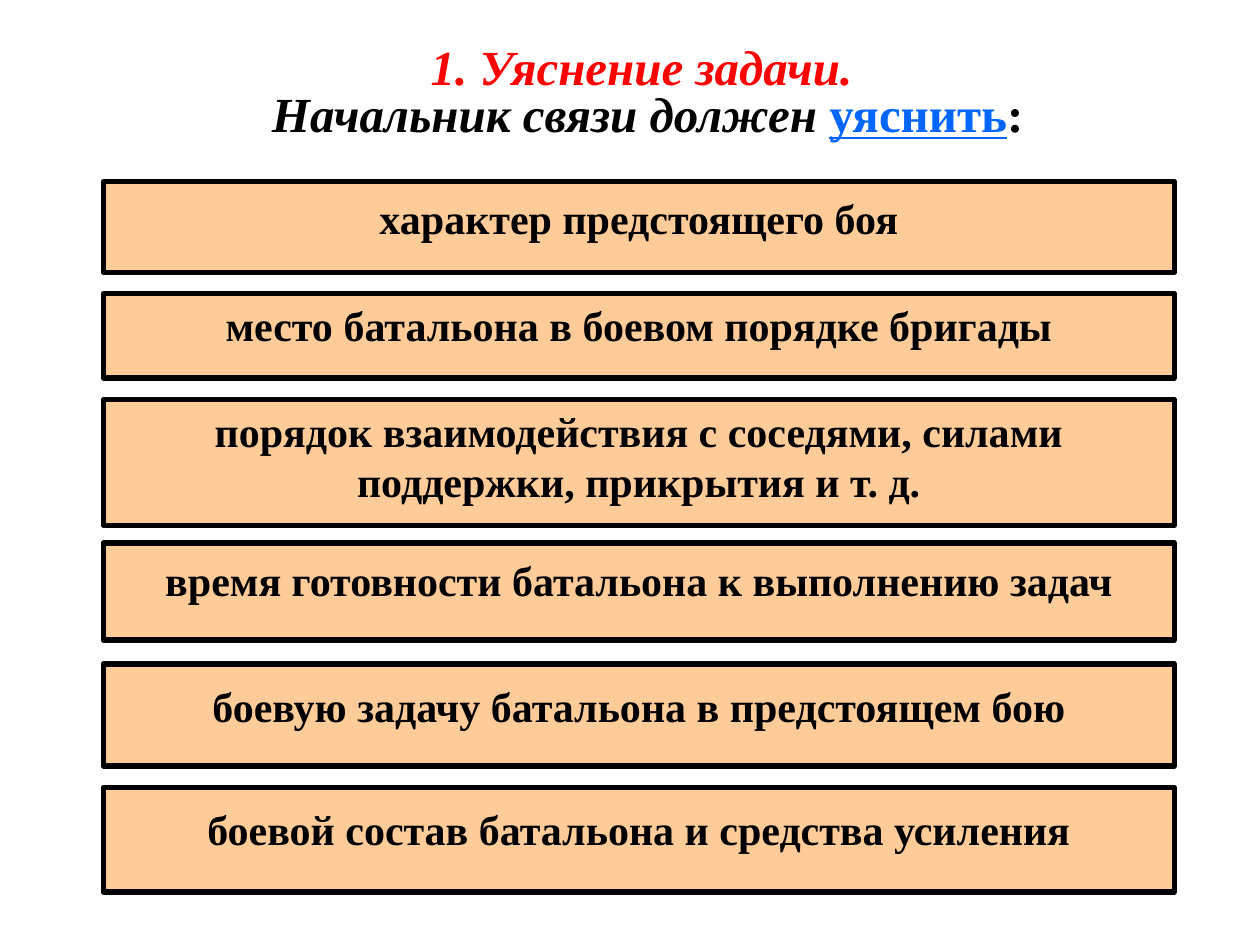
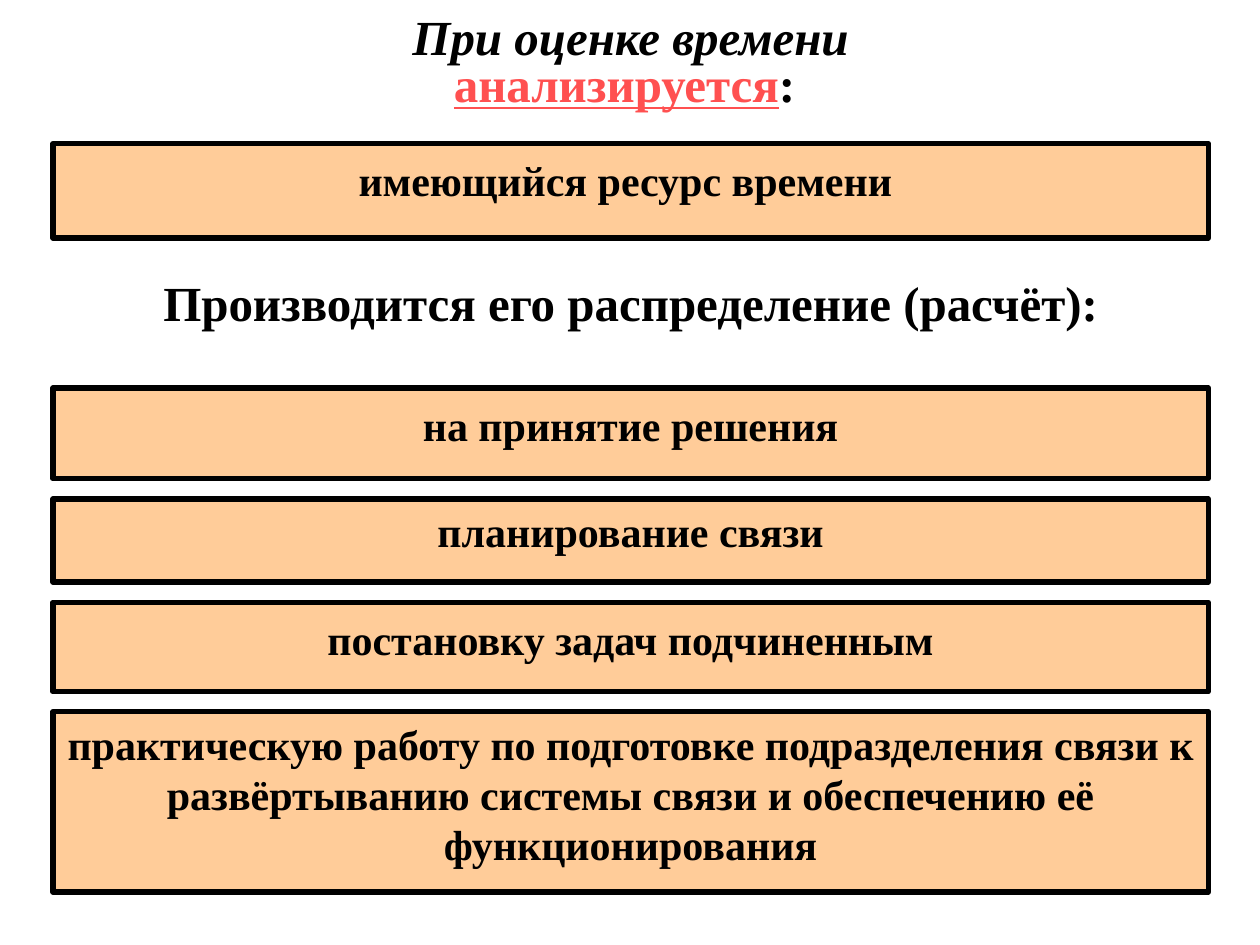
import pptx
import pptx.util
from pptx.dml.color import RGBColor
from pptx.enum.shapes import MSO_SHAPE
from pptx.enum.text import MSO_ANCHOR, PP_ALIGN

COLS, ROWS = 100, 75
SLIDE_W, SLIDE_H = pptx.util.Inches(10), pptx.util.Inches(7.5)
FONT = "Times New Roman"
BLACK, RED, BLUE, CORAL, PEACH = "000000", "FF0000", "0066FF", "FF5050", "FFCC99"

HEADING = {"name": FONT, "size": pptx.util.Pt(28), "bold": True}
ITEM = {"name": FONT, "size": pptx.util.Pt(24), "bold": True}
ITALIC = {"italic": True}
KEYWORD = {"underline": True}

# Each item: height in grid rows, line spacing, text
TASK_ITEMS = [
    (7.2, 1.1, "характер предстоящего боя"),
    (6.7, 1.0, "место батальона в боевом порядке бригады"),
    (10, 1.0, "порядок взаимодействия с соседями, силами поддержки, прикрытия и т. д."),
    (7.7, 1.1, "время готовности батальона к выполнению задач"),
    (8.1, 1.2, "боевую задачу батальона в предстоящем бою"),
    (8.3, 1.2, "боевой состав батальона и средства усиления"),
]
TASK_TOPS = [14.4, 23.3, 31.7, 43.1, 52.7, 62.5]
TIME_ITEMS = [
    (7.2, 1.1, "на принятие решения"),
    (6.6, 1.0, "планирование связи"),
    (7.1, 1.1, "постановку задач подчиненным"),
    (14.3, 1.0, "практическую работу по подготовке подразделения связи к "
                "развёртыванию системы связи и обеспечению её функционирования"),
]


def rgb(color):
    return RGBColor.from_string(color)


def grid(col, row, cols, rows):
    """Turn grid units into left, top, width and height."""
    unit_w, unit_h = SLIDE_W / COLS, SLIDE_H / ROWS
    return (round(col * unit_w), round(row * unit_h),
            round(cols * unit_w), round(rows * unit_h))


def write(sp, lines, base):
    """Fill a shape with centred lines, each (line spacing, [(text, colour, format)])."""
    tf = sp.text_frame
    tf.word_wrap = True
    tf.vertical_anchor = MSO_ANCHOR.TOP
    for i, (spacing, runs) in enumerate(lines):
        p = tf.add_paragraph() if i else tf.paragraphs[0]
        p.alignment = PP_ALIGN.CENTER
        p.line_spacing = spacing
        for text, color, extra in runs:
            r = p.add_run()
            r.text = text
            for key, value in {**base, **extra}.items():
                setattr(r.font, key, value)
            r.font.color.rgb = rgb(color)


def add_heading(s, place, lines):
    write(s.shapes.add_textbox(*grid(*place)), lines, HEADING)


def add_item(s, place, spacing, text):
    sp = s.shapes.add_shape(MSO_SHAPE.RECTANGLE, *grid(*place))
    sp.shadow.inherit = False
    sp.fill.solid()
    sp.fill.fore_color.rgb = rgb(PEACH)
    sp.line.color.rgb = rgb(BLACK)
    sp.line.width = pptx.util.Pt(3)
    write(sp, [(spacing, [(text, BLACK, {})])], ITEM)


def add_task_slide(prs):
    s = prs.slides.add_slide(prs.slide_layouts[6])
    add_heading(s, (8.3, 3.3, 86.2, 10), [
        (0.8, [("1. Уяснение задачи. ", RED, ITALIC)]),
        (0.8, [("Начальник связи должен ", BLACK, ITALIC),
               ("уяснить", BLUE, KEYWORD), (":", BLACK, {})]),
    ])
    for top, (height, spacing, text) in zip(TASK_TOPS, TASK_ITEMS):
        add_item(s, (8.2, top, 85, height), spacing, text)


def add_time_slide(prs):
    left, width, gap = 4.2, 91.7, 1.6
    s = prs.slides.add_slide(prs.slide_layouts[6])
    add_heading(s, (left, 0, width, 11), [
        (1.0, [("При оценке времени", BLACK, ITALIC)]),
        (0.8, [("анализируется", CORAL, KEYWORD), (": ", BLACK, {})]),
    ])
    add_item(s, (left, 11.4, width, 7.5), 1.1, "имеющийся ресурс времени ")
    add_heading(s, (left, 21.1, width, 7.5), [
        (1.0, [("Производится его распределение (расчёт):", BLACK, {})]),
    ])
    top = 30.8
    for height, spacing, text in TIME_ITEMS:
        add_item(s, (left, top, width, height), spacing, text)
        top += height + gap


def main():
    prs = pptx.Presentation()
    prs.slide_width, prs.slide_height = SLIDE_W, SLIDE_H
    add_task_slide(prs)
    add_time_slide(prs)
    prs.save("out.pptx")


if __name__ == "__main__":
    main()
